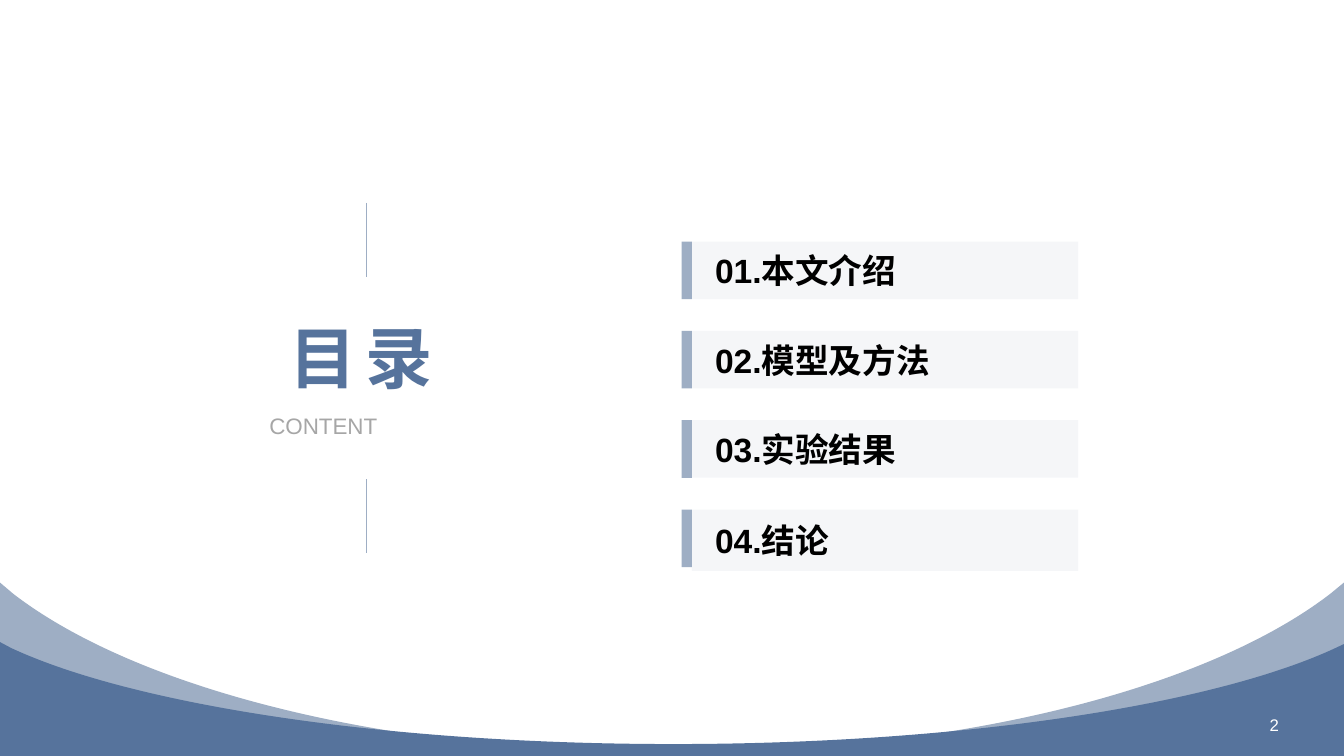
from dataclasses import dataclass

from lxml.etree import SubElement
from pptx import Presentation
from pptx.dml.color import RGBColor
from pptx.enum.shapes import MSO_CONNECTOR, MSO_SHAPE
from pptx.enum.text import MSO_ANCHOR, MSO_AUTO_SIZE, PP_ALIGN
from pptx.oxml.ns import qn
from pptx.util import Cm, Pt


@dataclass(frozen=True)
class Theme:
    font: str = "Arial"
    deep: RGBColor = RGBColor(0x56, 0x73, 0x9C)
    soft: RGBColor = RGBColor(0x9E, 0xAE, 0xC4)
    grey: RGBColor = RGBColor(0xA6, 0xA6, 0xA6)
    black: RGBColor = RGBColor(0, 0, 0)
    white: RGBColor = RGBColor(255, 255, 255)
    title_size: int = 48
    chapter_size: int = 24
    subtitle_size: int = 16
    number_size: int = 12
    panel_alpha: int = 10


theme = Theme()


def write(holder, text, *, size, color, bold=False, align=PP_ALIGN.LEFT,
          anchor=MSO_ANCHOR.TOP, margins=(0, 0, 0, 0), spacing=0, level=0,
          fit=MSO_AUTO_SIZE.NONE):
    frame = holder.text_frame
    frame.word_wrap = True
    frame.auto_size = fit
    frame.vertical_anchor = anchor
    frame.margin_left, frame.margin_top, frame.margin_right, frame.margin_bottom = (
        Cm(margin) for margin in margins)
    paragraph = frame.paragraphs[0]
    paragraph.alignment = align
    paragraph.level = level
    paragraph._p.get_or_add_pPr().set("marL", "0")
    run = paragraph.add_run()
    run.text = text
    run.font.name = theme.font
    run.font.size = Pt(size)
    run.font.bold = bold
    run.font.color.rgb = color
    if spacing:
        run.font._element.set("spc", str(spacing * 100))


def paint(shape, color):
    shape.shadow.inherit = False
    shape.fill.solid()
    shape.fill.fore_color.rgb = color
    shape.line.fill.background()


width, height = 33.87, 19.05
deck = Presentation()
deck.slide_width, deck.slide_height = Cm(width), Cm(height)
slide = deck.slides.add_slide(deck.slide_layouts[6])

footer = slide.shapes.add_group_shape().shapes
waves = [
    (14.68, 14.68, 16.93, 18.97, [(0.33, 14.96), (3.43, 17.35), (9.7, 18.97)], theme.soft),
    (16.18, 16.23, 16.97, 18.75, [(0.28, 16.33), (3.33, 17.75), (9.65, 18.75)], theme.deep),
]
for left_edge, right_edge, middle, bottom, bends, color in waves:
    mirrored = [(2 * middle - x, y) for x, y in reversed(bends)]
    outline = [(0, left_edge), *bends, (middle, bottom), *mirrored,
               (width, right_edge), (width, height), (0, height)]
    corners = [(Cm(x), Cm(y)) for x, y in outline]
    builder = footer.build_freeform(*corners[0])
    builder.add_line_segments(corners[1:], close=True)
    wave = builder.convert_to_shape()
    paint(wave, color)
    segments = list(wave._element.iter(qn("a:lnTo")))
    for first in (1, 4):
        curve = SubElement(segments[first].getparent(), qn("a:cubicBezTo"))
        segments[first].addprevious(curve)
        for segment in segments[first:first + 3]:
            curve.append(segment[0])
            segment.getparent().remove(segment)

page_number = slide.shapes.add_textbox(Cm(30.58), Cm(17.75), Cm(1.9), Cm(1.02))
write(page_number, "2", size=theme.number_size, color=theme.white,
      align=PP_ALIGN.RIGHT, anchor=MSO_ANCHOR.MIDDLE, margins=(0.25, 0.13, 0.25, 0.13))

heading = slide.shapes.add_group_shape().shapes
title = heading.add_textbox(Cm(7.3), Cm(7.98), Cm(3.89), Cm(2.06))
write(title, "目录", size=theme.title_size, color=theme.deep, bold=True,
      align=PP_ALIGN.JUSTIFY, spacing=6, fit=MSO_AUTO_SIZE.SHAPE_TO_FIT_TEXT)

subtitle = heading.add_textbox(Cm(6.79), Cm(10.39), Cm(4.9), Cm(0.69))
write(subtitle, "CONTENT", size=theme.subtitle_size, color=theme.grey,
      align=PP_ALIGN.JUSTIFY, fit=MSO_AUTO_SIZE.SHAPE_TO_FIT_TEXT)

rule_x, rule_length = 9.24, 1.86
for rule_top in (5.11, 12.08):
    rule = heading.add_connector(MSO_CONNECTOR.STRAIGHT, Cm(rule_x), Cm(rule_top),
                                 Cm(rule_x), Cm(rule_top + rule_length))
    rule.line.color.rgb = theme.soft
    rule.line.width = Pt(0.5)
    SubElement(rule._element.spPr, qn("a:effectLst"))

contents = slide.shapes.add_group_shape().shapes
chapters = [("本文介绍", 1.45), ("模型及方法", 1.45), ("实验结果", 1.45), ("结论", 1.55)]
first_top, pitch = 6.09, 2.25
tops = [Cm(first_top + index * pitch) for index in range(len(chapters))]
for number, (top, (chapter, panel_height)) in enumerate(zip(tops, chapters), 1):
    panel = contents.add_shape(MSO_SHAPE.RECTANGLE, Cm(17.44), top, Cm(9.73), Cm(panel_height))
    paint(panel, theme.soft)
    tint = panel._element.spPr.find(qn("a:solidFill"))[0]
    SubElement(tint, qn("a:alpha"), val=str(theme.panel_alpha * 1000))
    write(panel, f"{number:02d}.{chapter}", size=theme.chapter_size, color=theme.black,
          bold=True, anchor=MSO_ANCHOR.MIDDLE, margins=(0.58, 0, 0, 0), level=1)

for top in tops:
    marker = contents.add_shape(MSO_SHAPE.ROUNDED_RECTANGLE, Cm(17.18), top, Cm(0.26), Cm(1.45))
    marker.adjustments[0] = 0
    paint(marker, theme.soft)

deck.save("out.pptx")
